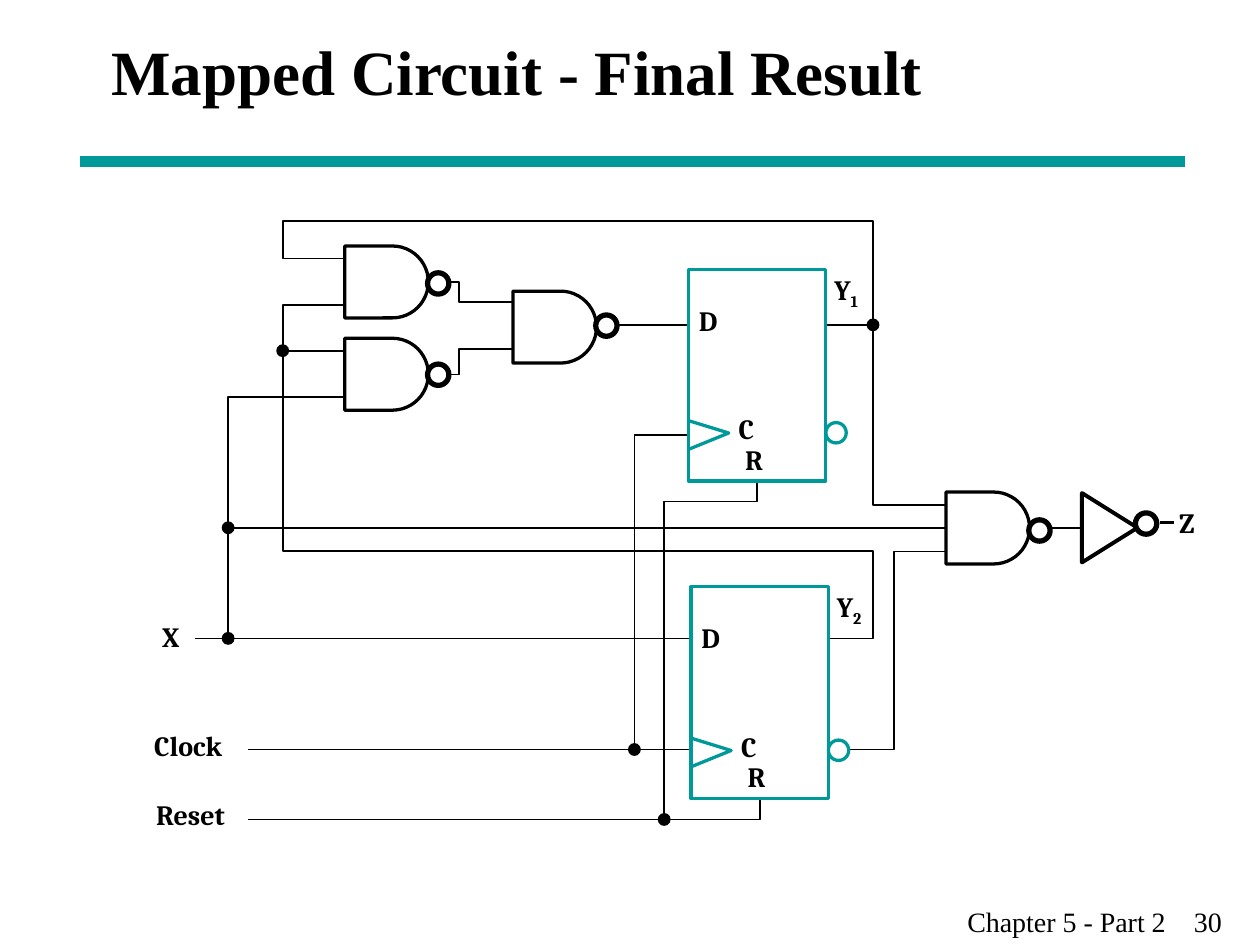
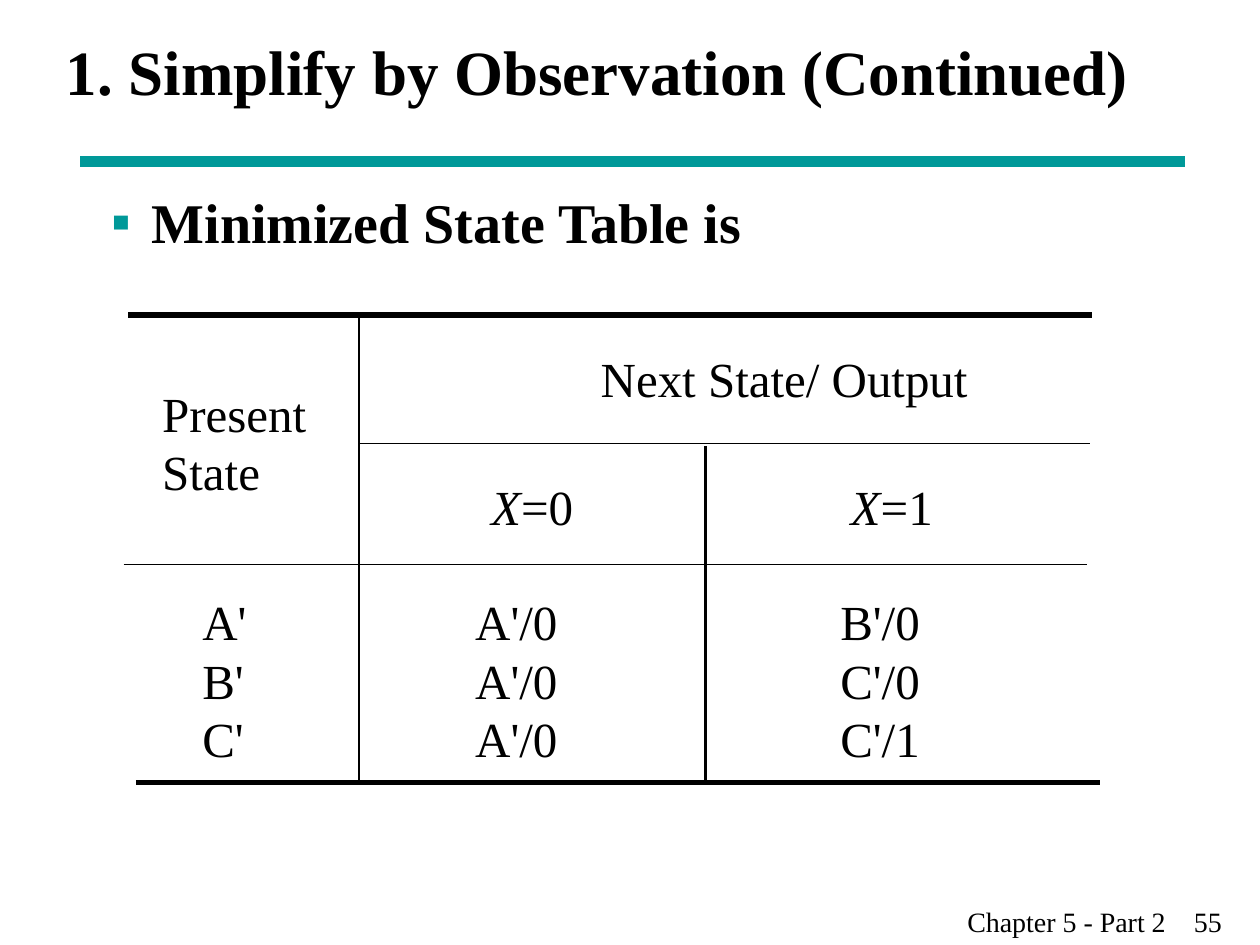
from math import cos, pi, sin

from lxml import etree
from pptx import Presentation
from pptx.dml.color import RGBColor
from pptx.enum.shapes import MSO_CONNECTOR, MSO_SHAPE
from pptx.enum.text import MSO_ANCHOR
from pptx.oxml.ns import qn
from pptx.util import Cm, Pt

STRAIGHT = MSO_CONNECTOR.STRAIGHT
RECT, OVAL, TRIANGLE = MSO_SHAPE.RECTANGLE, MSO_SHAPE.OVAL, MSO_SHAPE.ISOSCELES_TRIANGLE
TOP, MIDDLE, BOTTOM = MSO_ANCHOR.TOP, MSO_ANCHOR.MIDDLE, MSO_ANCHOR.BOTTOM

BLACK, WHITE, TEAL = "000000", "FFFFFF", "009999"
TITLE = {"size": Pt(36), "name": "Times New Roman", "bold": True}
BULLET = {"size": Pt(32), "name": "Times New Roman", "bold": True}
CELL = {"size": Pt(28), "name": "Times New Roman"}
FOOTER = {"size": Pt(16), "name": "Times New Roman"}
LABEL = {"size": Pt(16), "name": "Cambria", "bold": True}
WIRE, OUTLINE, BUBBLE = 1, 1.87, 3
GATE_HEIGHT, GATE_FLAT = 1.45, 0.96


def rgb(value):
    return RGBColor.from_string(value)


def child(parent, tag, **attrs):
    return etree.SubElement(parent, qn(tag), attrs)


def write(p, runs, style):
    """Add runs, each a string or a (string, extra format) pair."""
    for run in [runs] if isinstance(runs, str) else runs:
        text, extra = (run, {}) if isinstance(run, str) else run
        r = p.add_run()
        r.text = text
        r.font.color.rgb = rgb(BLACK)
        for key, value in {**style, **extra}.items():
            if key == "baseline":
                r._r.get_or_add_rPr().set(key, value)
            else:
                setattr(r.font, key, value)


class Deck:
    """Holds the presentation, its common style and the current slide."""

    def __init__(self):
        self.prs = Presentation()
        self.prs.slide_width, self.prs.slide_height = Cm(25.4), Cm(19.05)

    def new_slide(self, title, number, left, width):
        self.shapes = self.prs.slides.add_slide(self.prs.slide_layouts[6]).shapes
        self.line((1.62, 3.26), (23.88, 3.26), 6, TEAL)
        self.text(title, (left, 0, width, 2.84), TITLE, anchor=MIDDLE)
        p = self.text("", (19.25, 18.11, 6.15, 0.94), FOOTER)
        tabs = child(p._p.get_or_add_pPr(), "a:tabLst")
        child(tabs, "a:tab", pos=str(Cm(4.57)), algn="l")
        write(p, f"Chapter 5 - Part 2\t{number}", FOOTER)

    def text(self, runs, box, style, anchor=TOP, wrap=True, inset=(0.25, 0.13)):
        tf = self.shapes.add_textbox(*map(Cm, box)).text_frame
        tf.word_wrap, tf.vertical_anchor = wrap, anchor
        tf.margin_left = tf.margin_right = Cm(inset[0])
        tf.margin_top = tf.margin_bottom = Cm(inset[1])
        p = tf.paragraphs[0]
        if runs:
            write(p, runs, style)
        return p

    def label(self, runs, x, y, width=0.41):
        self.text(runs, (x, y, width, 0.69), LABEL, wrap=False, inset=(0, 0))

    def bullet(self, text, box):
        p = self.text("", box, BULLET)
        pPr = p._p.get_or_add_pPr()
        pPr.set("marL", str(Cm(0.81)))
        pPr.set("indent", str(-Cm(0.81)))
        child(child(pPr, "a:buClr"), "a:srgbClr", val=TEAL)
        child(pPr, "a:buFont", typeface="Times New Roman")
        child(pPr, "a:buChar", char="▪")
        write(p, text, BULLET)

    def line(self, start, end, width=WIRE, color=BLACK):
        s = self.shapes.add_connector(STRAIGHT, *map(Cm, start + end))
        s.line.color.rgb, s.line.width = rgb(color), Pt(width)
        child(s._element.spPr, "a:effectLst")

    def paint(self, s, fill, line, width):
        s.shadow.inherit = False
        if fill:
            s.fill.solid()
            s.fill.fore_color.rgb = rgb(fill)
        else:
            s.fill.background()
        if line:
            s.line.color.rgb, s.line.width = rgb(line), Pt(width)
        else:
            s.line.fill.background()
        return s

    def shape(self, kind, box, fill=WHITE, line=BLACK, width=OUTLINE):
        return self.paint(self.shapes.add_shape(kind, *map(Cm, box)), fill, line, width)

    def outline(self, points, fill=None, line=BLACK, width=WIRE, close=False):
        points = [(Cm(x), Cm(y)) for x, y in points]
        builder = self.shapes.build_freeform(*points[0])
        builder.add_line_segments(points[1:], close=close)
        self.paint(builder.convert_to_shape(), fill, line, width)

    def bubble(self, x, y):
        self.shape(OVAL, (x, y, 0.43, 0.43), width=BUBBLE)

    def junction(self, x, y):
        self.shape(OVAL, (x - 0.13, y - 0.13, 0.26, 0.26), fill=BLACK, line=None)

    def nand(self, x, y, bubble_drop):
        radius = GATE_HEIGHT / 2
        angles = [pi / 2 - pi * i / 24 for i in range(25)]
        arc = [(x + GATE_FLAT + radius * cos(a), y + radius + radius * sin(a)) for a in angles]
        self.outline([(x, y), (x, y + GATE_HEIGHT)] + arc, WHITE, width=OUTLINE, close=True)
        self.bubble(x + 1.67, y + bubble_drop)

    def flip_flop(self, x, y, index):
        self.shape(RECT, (x, y, 2.77, 4.27), line=TEAL)
        self.shape(OVAL, (x + 2.77, y + 3.09, 0.41, 0.41), line=TEAL)
        clock_input = [(x, y + 3.05), (x + 0.81, y + 3.3), (x, y + 3.63)]
        self.outline(clock_input, line=TEAL, width=OUTLINE)
        output = ["Y", (index, {"baseline": "-25000"})]
        for runs, dx, dy in [("D", 0.21, 0.68), ("C", 1.01, 2.87), ("R", 1.14, 3.49),
                             (output, 2.94, 0.06)]:
            self.label(runs, x + dx, y + dy, 0.41 if isinstance(runs, str) else 0.58)

    def table(self, left, top, widths, heights):
        s = self.shapes.add_table(len(heights), len(widths), Cm(left), Cm(top),
                                  Cm(sum(widths)), Cm(sum(heights)))
        table = s.table
        table.first_row = table.horz_banding = False
        for column, width in zip(table.columns, widths):
            column.width = Cm(width)
        for row, height in zip(table.rows, heights):
            row.height = Cm(height)
        return table

    def cell(self, cell, runs, indent, anchor, spacing):
        for side in "LRTB":
            ln = child(cell._tc.get_or_add_tcPr(), f"a:ln{side}", w="0")
            child(ln, "a:noFill")
        cell.fill.background()
        cell.vertical_anchor = anchor
        cell.margin_left = Cm(indent)
        cell.margin_right = cell.margin_top = cell.margin_bottom = 0
        if runs:
            p = cell.text_frame.paragraphs[0]
            p.line_spacing = spacing
            write(p, runs, CELL)


def mapped_circuit(deck):
    deck.new_slide("Mapped Circuit - Final Result", 30, 2, 21.59)
    x_tap, y2_tap, y1_tap = 4.6, 5.7, 17.6
    clock_tap, reset_tap = 12.79, 13.39
    x_row, clock_row, reset_row = 12.87, 15.11, 16.52
    x_branch, y2_branch, d_row = 10.64, 7.07, 6.55
    wires = [
        [(7.8, 5.21), (y2_tap, 5.21), (y2_tap, 4.46), (y1_tap, 4.46), (y1_tap, 10.18),
         (19.81, 10.18)],
        [(7.8, 6.15), (y2_tap, 6.15), (y2_tap, 11.11), (y1_tap, 11.11), (y1_tap, x_row),
         (3.94, x_row)],
        [(19.53, 11.12), (18.02, 11.12), (18.02, clock_row), (5, clock_row)],
        [(15.32, 14.43), (15.32, reset_row), (5, reset_row)],
        [(7.34, 8.01), (x_tap, 8.01), (x_tap, x_row)],
        [(7.39, 5.69), (9.25, 5.69), (9.25, 6.09), (10.36, 6.09)],
        [(7.39, 7.55), (9.25, 7.55), (9.25, 7.04), (10.36, 7.04)],
        [(15.42, 8.77), (clock_tap, 8.77), (clock_tap, clock_row)],
        [(reset_tap, reset_row), (reset_tap, 10.11), (15.26, 10.11), (15.26, 8.97)],
    ]
    for points in wires:
        deck.outline(points)
    deck.line((x_tap, x_branch), (21.79, x_branch))
    deck.line((y2_tap, y2_branch), (7.42, y2_branch))
    deck.line((10.62, d_row), (y1_tap, d_row))

    deck.flip_flop(13.88, 5.43, "1")
    deck.flip_flop(13.93, 11.83, "2")
    for x, y, bubble_drop in [(19.07, 9.92, 0.56), (6.95, 6.82, 0.52),
                              (6.95, 4.96, 0.54), (10.34, 5.87, 0.48)]:
        deck.nand(x, y, bubble_drop)
    inverter = deck.shape(TRIANGLE, (21.67, 10.08, 1.4, 1.12), fill=None, width=2.25)
    inverter.rotation = 90
    deck.bubble(22.89, 10.34)
    deck.line((23.39, 10.54), (23.67, 10.54), 1.5)

    for x, y in [(y2_tap, y2_branch), (x_tap, x_branch), (x_tap, x_row),
                 (clock_tap, clock_row), (y1_tap, d_row), (reset_tap, reset_row)]:
        deck.junction(x, y)
    deck.label("X", 3.27, 12.48)
    deck.label("Clock", 3.11, 14.68, 1.57)
    deck.label("Reset", 3.15, 16.08, 1.55)
    deck.label("Z", 23.77, 10.19)


def minimized_table(deck):
    deck.new_slide("1. Simplify by Observation (Continued)", 55, 1.08, 22.5)
    deck.bullet("Minimized State Table is", (2, 3.66, 21.59, 13.97))
    x = ("X", {"italic": True})
    rows = [
        ["Present State", "Next State/ Output", ""],
        ["", [x, "=0"], [x, "=1"]],
        ["A'", "A'/0", "B'/0"],
        ["B'", "A'/0", "C'/0"],
        ["C'", "A'/0", "C'/1"],
    ]
    indents = [(0.68, 4.87, 0), (0.68, 2.66, 2.92)] + [(1.49, 2.34, 2.71)] * 3
    anchors = [MIDDLE, MIDDLE, BOTTOM, MIDDLE, TOP]
    spacings = [1.08, 1.08, 1, 1, 1]
    table = deck.table(2.59, 6.35, [4.65, 6.99, 7.87], [2.59, 2.44, 1.63, 1.25, 1.51])
    table.cell(0, 0).merge(table.cell(1, 0))
    table.cell(0, 1).merge(table.cell(0, 2))
    for i, row in enumerate(rows):
        for j, runs in enumerate(row):
            deck.cell(table.cell(i, j), runs, indents[i][j], anchors[i], spacings[i])

    for left, right, y, width in [(2.59, 22.02, 6.35, 3), (2.74, 22.17, 15.77, 3),
                                  (7.24, 21.97, 8.94, 1), (2.49, 21.92, 11.38, 1)]:
        deck.line((left, y), (right, y), width)
    for column, top in [(7.24, 6.35), (14.22, 8.99)]:
        deck.line((column, top), (column, 15.72), 1.5)


def main():
    deck = Deck()
    mapped_circuit(deck)
    minimized_table(deck)
    deck.prs.save("out.pptx")


if __name__ == "__main__":
    main()
